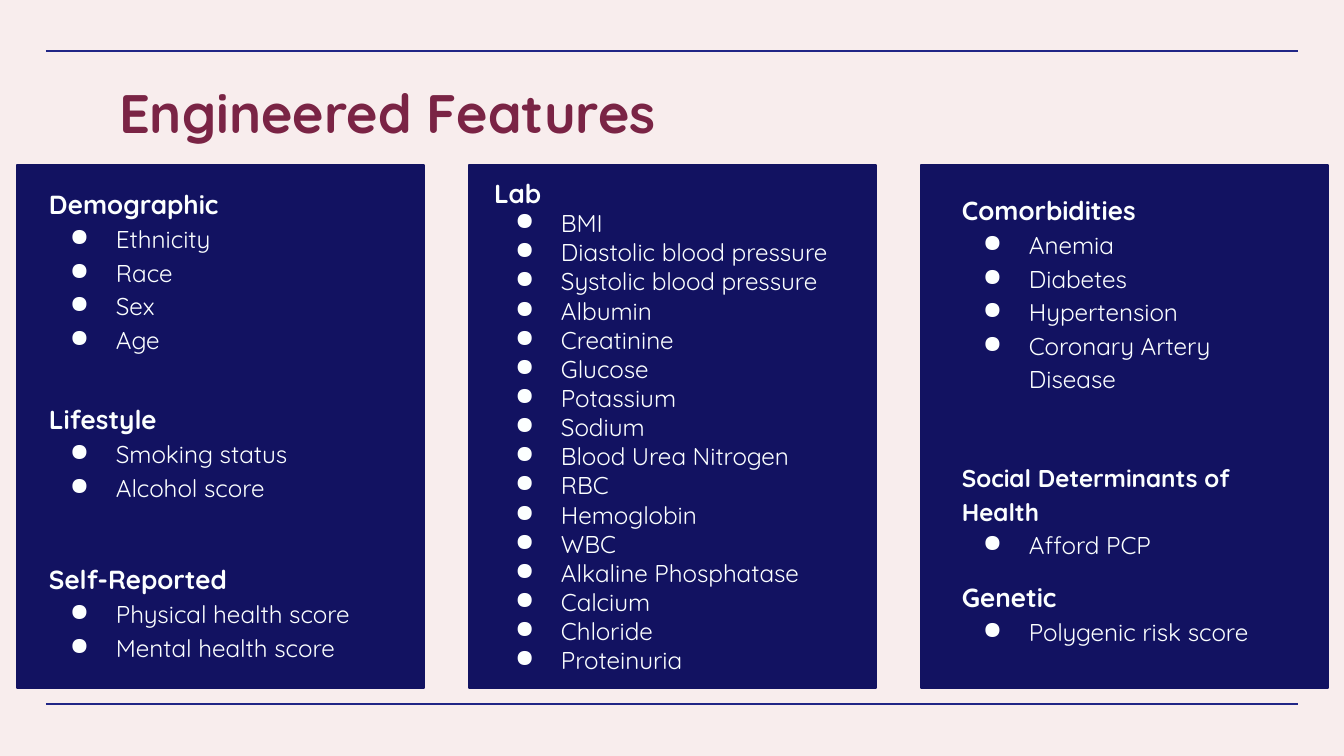
from lxml.etree import SubElement
from pptx import Presentation
from pptx.dml.color import RGBColor
from pptx.enum.shapes import MSO_CONNECTOR, MSO_SHAPE
from pptx.enum.text import MSO_ANCHOR, MSO_AUTO_SIZE, PP_ALIGN
from pptx.oxml.ns import qn
from pptx.util import Emu, Pt

SLIDE_WIDTH, SLIDE_HEIGHT = 1344, 756
SCALE = 9144000 / SLIDE_WIDTH
FONT = "Quicksand"
INSET = 13
COLORS = {
    "background": "F8EDED",
    "rule": "212686",
    "title": "7A2445",
    "panel": "121261",
    "text": "FCFFFF",
}
PANEL_LEFT, PANEL_TOP, PANEL_WIDTH, PANEL_HEIGHT = 17, 165, 407, 523
PANEL_PITCH = 452
PANELS = [
    {
        "inset": 19, "width": 352, "spacing": 1.15,
        "sections": [
            (6, 192, 14, "Demographic", ["Ethnicity", "Race", "Sex", "Age"]),
            (221, 136, 14, "Lifestyle", ["Smoking status", "Alcohol score"]),
            (381, 136, 14, "Self-Reported", ["Physical health score", "Mental health score"]),
        ],
    },
    {
        "inset": 12, "width": 384, "spacing": 1.0,
        "sections": [
            (-1, 476, 14, "Lab", [
                "BMI", "Diastolic blood pressure", "Systolic blood pressure", "Albumin",
                "Creatinine", "Glucose", "Potassium", "Sodium", "Blood Urea Nitrogen", "RBC",
                "Hemoglobin", "WBC", "Alkaline Phosphatase", "Calcium", "Chloride", "Proteinuria",
            ]),
        ],
    },
    {
        "inset": 28, "width": 352, "spacing": 1.15,
        "sections": [
            (12, 242, 14, "Comorbidities",
             ["Anemia", "Diabetes", "Hypertension", "Coronary Artery Disease"]),
            (281, 93, 13, "Social Determinants of Health", ["Afford PCP"]),
            (399, 110, 14, "Genetic", ["Polygenic risk score"]),
        ],
    },
]


def px(length):
    """Turn whole px into EMU."""
    return Emu(round(length * SCALE))


def color(name):
    """Look up a named colour."""
    return RGBColor.from_string(COLORS[name])


def prepare_frame(frame):
    """Give a text frame even insets, wrapping and a top anchor."""
    frame.word_wrap = True
    frame.auto_size = MSO_AUTO_SIZE.NONE
    frame.vertical_anchor = MSO_ANCHOR.TOP
    frame.margin_left = frame.margin_right = px(INSET)
    frame.margin_top = frame.margin_bottom = px(INSET)


def style_font(paragraph, size, bold, name):
    """Set the font of a whole paragraph."""
    font = paragraph.font
    font.name, font.size, font.bold = FONT, Pt(size), bold
    font.color.rgb = color(name)


def add_bullet(paragraph):
    """Give a paragraph a hanging round bullet."""
    properties = paragraph._p.get_or_add_pPr()
    properties.set("marL", str(px(67)))
    properties.set("indent", str(px(-46)))
    bullet_color = SubElement(properties, qn("a:buClr"))
    SubElement(bullet_color, qn("a:srgbClr"), val=COLORS["text"])
    SubElement(properties, qn("a:buChar"), char="●")


def add_rule(page, left, top, width):
    """Draw a thin horizontal rule."""
    rule = page.shapes.add_connector(
        MSO_CONNECTOR.STRAIGHT, px(left), px(top), px(left + width), px(top))
    rule.line.color.rgb = color("rule")
    rule.line.width = Pt(0.75)
    SubElement(rule._element.spPr, qn("a:effectLst"))


def place_title(page, left, top, width, height):
    """Move, fill and format the title placeholder."""
    title = page.shapes.title
    title.left, title.top, title.width, title.height = map(px, (left, top, width, height))
    title.text = "Engineered Features"
    prepare_frame(title.text_frame)
    paragraph = title.text_frame.paragraphs[0]
    paragraph.alignment = PP_ALIGN.LEFT
    style_font(paragraph, 29, True, "title")


def add_section(group, left, top, width, height, size, heading, items, spacing):
    """Write a bold heading with its bulleted features."""
    box = group.shapes.add_textbox(px(left), px(top), px(width), px(height))
    frame = box.text_frame
    prepare_frame(frame)
    frame.text = "\n".join([heading, *items])
    for index, paragraph in enumerate(frame.paragraphs):
        paragraph.line_spacing = spacing
        style_font(paragraph, 13 if index else size, index == 0, "text")
        if index:
            add_bullet(paragraph)


def add_panel(page, left, top, width, height, panel):
    """Draw a panel grouped with its sections."""
    group = page.shapes.add_group_shape()
    card = group.shapes.add_shape(
        MSO_SHAPE.RECTANGLE, px(left), px(top), px(width), px(height))
    card.shadow.inherit = False
    card.fill.solid()
    card.fill.fore_color.rgb = color("panel")
    card.line.color.rgb = color("panel")
    card.line.width = Pt(0.75)
    for offset, section_height, size, heading, items in panel["sections"]:
        add_section(group, left + panel["inset"], top + offset, panel["width"],
                    section_height, size, heading, items, panel["spacing"])


def main():
    """Build and save the slide."""
    deck = Presentation()
    deck.slide_width, deck.slide_height = px(SLIDE_WIDTH), px(SLIDE_HEIGHT)
    page = deck.slides.add_slide(deck.slide_layouts.get_by_name("Title Only"))
    page.background.fill.solid()
    page.background.fill.fore_color.rgb = color("background")
    for top in (51, 704):
        add_rule(page, 46, top, 1252)
    place_title(page, 106, 66, 1133, 85)
    for column, panel in enumerate(PANELS):
        add_panel(page, PANEL_LEFT + column * PANEL_PITCH, PANEL_TOP,
                  PANEL_WIDTH, PANEL_HEIGHT, panel)
    deck.save("out.pptx")


if __name__ == "__main__":
    main()
